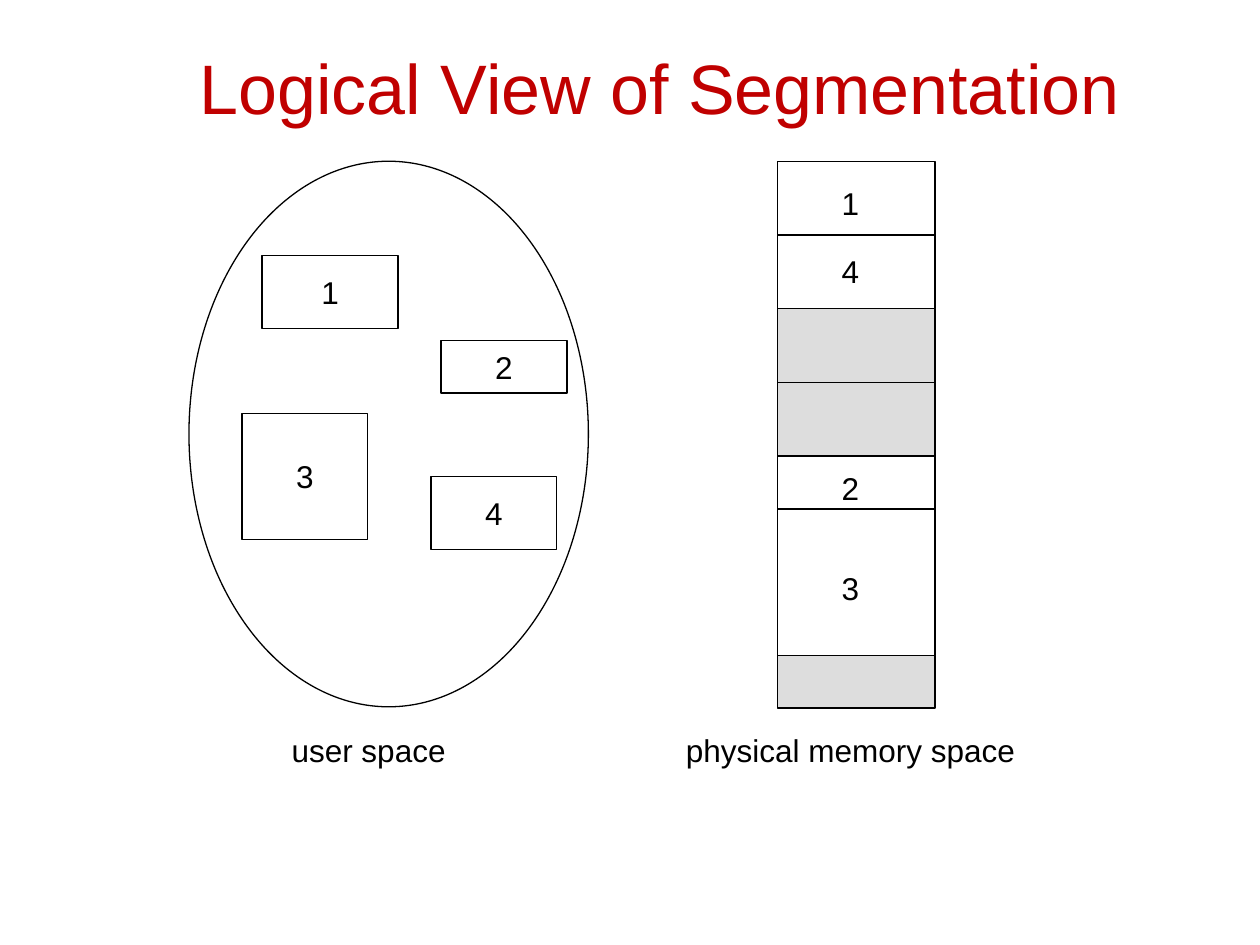
from lxml.etree import SubElement
from pptx import Presentation
from pptx.dml.color import RGBColor
from pptx.enum.shapes import MSO_CONNECTOR, MSO_SHAPE
from pptx.enum.text import MSO_ANCHOR, PP_ALIGN
from pptx.oxml.ns import qn
from pptx.util import Inches, Pt

BLACK = RGBColor(0x00, 0x00, 0x00)
WHITE = RGBColor(0xFF, 0xFF, 0xFF)
GRAY = RGBColor(0xDD, 0xDD, 0xDD)
RED = RGBColor(0xC0, 0x00, 0x00)
FONT = "Arial"
LINE_WIDTH = Pt(0.75)
LEFT_SIDE, RIGHT_SIDE = 1, 3


def write_text(shape, text, size=18, color=BLACK, wrap=False):
    frame = shape.text_frame
    frame.word_wrap = wrap
    frame.vertical_anchor = MSO_ANCHOR.MIDDLE
    paragraph = frame.paragraphs[0]
    paragraph.alignment = PP_ALIGN.CENTER
    run = paragraph.add_run()
    run.text = text
    run.font.name = FONT
    run.font.size = Pt(size)
    run.font.color.rgb = color


def add_label(slide, text, left, top, width, height=0.4, **style):
    label = slide.shapes.add_textbox(
        Inches(left), Inches(top), Inches(width), Inches(height))
    write_text(label, text, **style)


def add_outlined(slide, kind, left, top, width, height, fill=WHITE):
    shape = slide.shapes.add_shape(
        kind, Inches(left), Inches(top), Inches(width), Inches(height))
    shape.shadow.inherit = False
    shape.fill.solid()
    shape.fill.fore_color.rgb = fill
    shape.line.color.rgb = BLACK
    shape.line.width = LINE_WIDTH
    return shape


def add_divider(slide, left, top, width):
    divider = slide.shapes.add_connector(
        MSO_CONNECTOR.STRAIGHT, Inches(left), Inches(top),
        Inches(left + width), Inches(top))
    divider.line.color.rgb = BLACK
    divider.line.width = LINE_WIDTH
    SubElement(divider._element.spPr, qn("a:effectLst"))
    return divider


def add_user_space(slide, left, top, width, height):
    add_outlined(slide, MSO_SHAPE.OVAL, left, top, width, height)
    segments = [  # number, offset from the ellipse's corner, size
        ("1", 0.58, 0.75, 1.08, 0.58),
        ("3", 0.42, 2.0, 1.0, 1.0),
        ("2", 2.0, 1.42, 1.0, 0.42),
        ("4", 1.92, 2.5, 1.0, 0.58),
    ]
    for number, x, y, segment_width, segment_height in segments:
        segment = add_outlined(slide, MSO_SHAPE.RECTANGLE, left + x, top + y,
                               segment_width, segment_height)
        write_text(segment, number)
    add_label(slide, "user space", left + 0.67, top + height + 0.14, 1.51)


def add_physical_memory(slide, left, top, width):
    blocks = [  # height, fill, divider offset, {number: label offset}
        (1.17, WHITE, 0.58, {"1": 0.13, "4": 0.67}),
        (1.17, GRAY, 0.58, {}),
        (1.58, WHITE, 0.42, {"2": 0.05, "3": 0.85}),
        (0.42, GRAY, None, {}),
    ]
    block_top = top
    for height, fill, split, numbers in blocks:
        block = add_outlined(slide, MSO_SHAPE.RECTANGLE, left, block_top,
                             width, height, fill)
        if split is not None:
            divider = add_divider(slide, left, block_top + split, width)
            if abs(split - height / 2) < 0.01:
                divider.begin_connect(block, LEFT_SIDE)
                divider.end_connect(block, RIGHT_SIDE)
        for number, offset in numbers.items():
            add_label(slide, number, left + 0.41, block_top + offset, 0.34)
        block_top += height
    add_label(slide, "physical memory space", left - 0.84, block_top + 0.13, 2.84)


def main():
    presentation = Presentation()
    presentation.slide_width = Inches(10)
    presentation.slide_height = Inches(7.5)
    slide = presentation.slides.add_slide(presentation.slide_layouts[6])
    add_label(slide, "Logical View of Segmentation", 0.97, 0.15, 8.53, 1.08,
              size=40, color=RED, wrap=True)
    add_user_space(slide, 1.5, 1.28, 3.17, 4.33)
    add_physical_memory(slide, 6.17, 1.28, 1.25)
    presentation.save("out.pptx")


if __name__ == "__main__":
    main()
